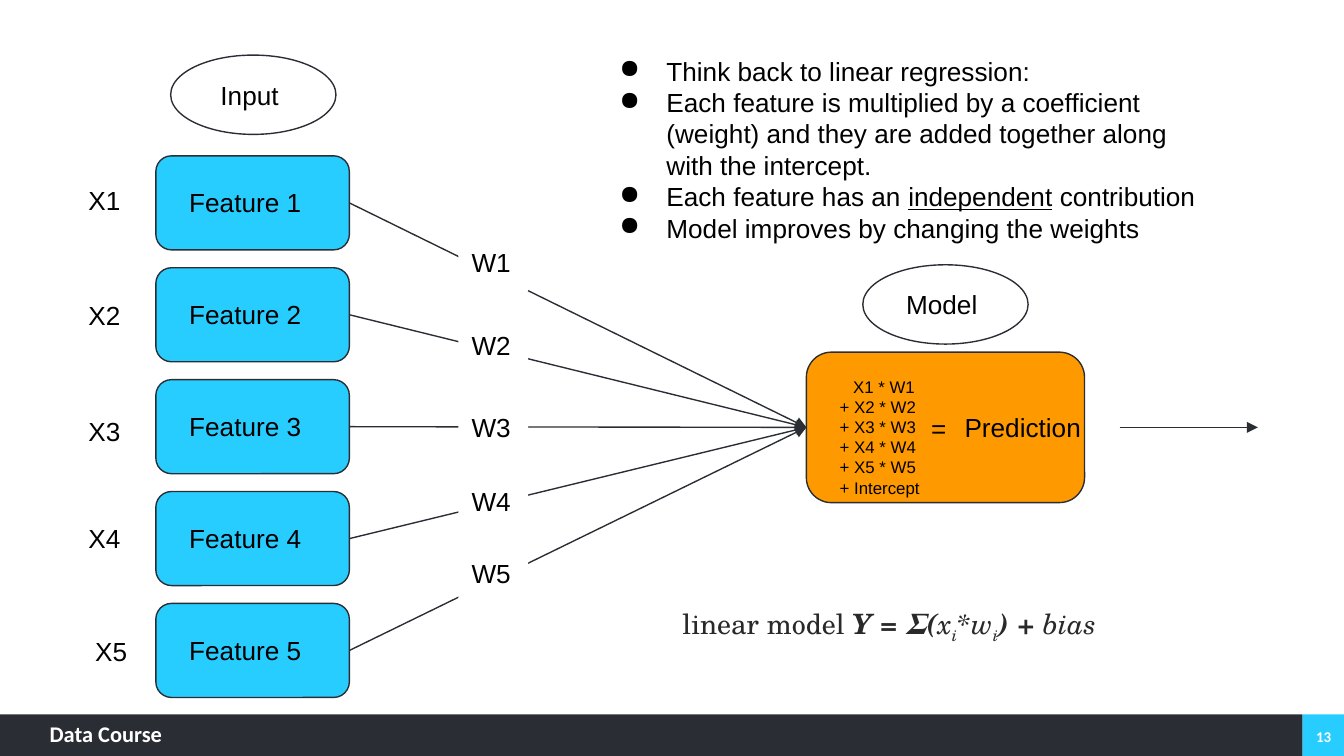
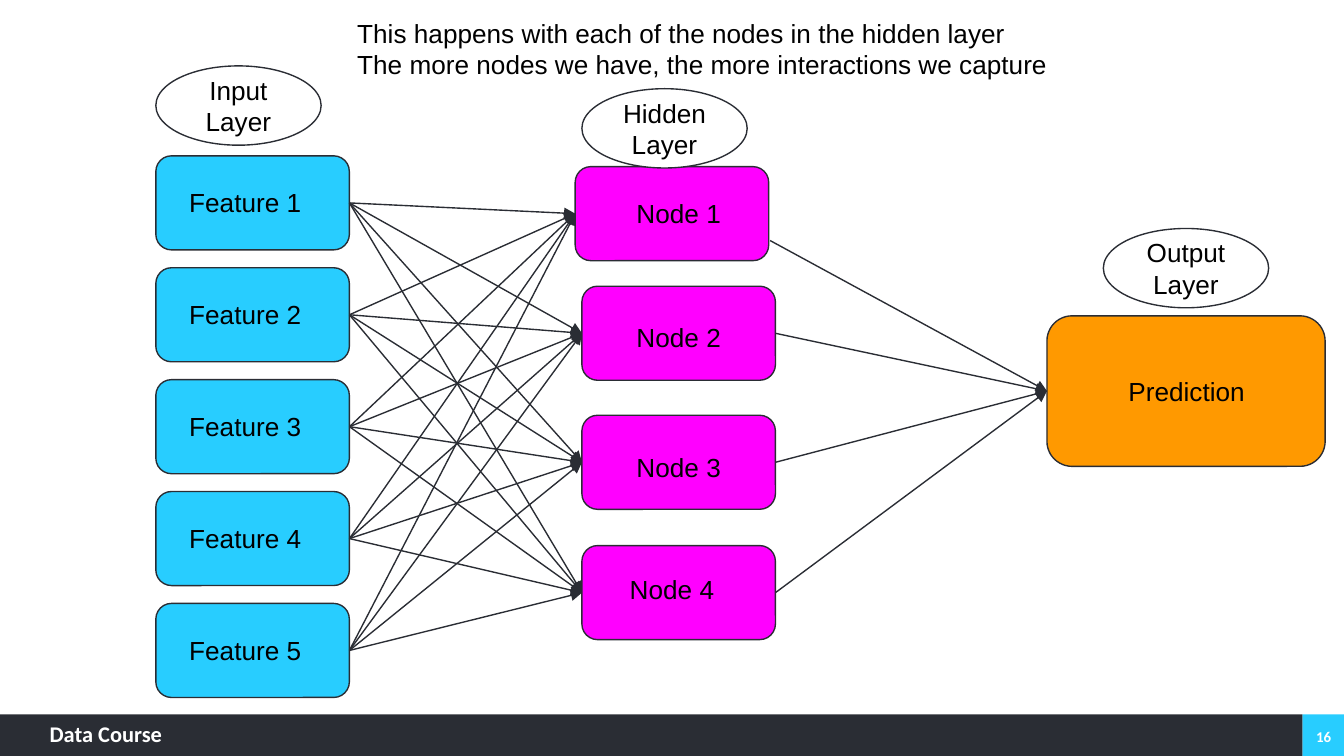
"""Builds two slides: a linear model with weights, and a network with a hidden layer."""
from lxml.etree import SubElement
from pptx import Presentation
from pptx.dml.color import RGBColor
from pptx.enum.shapes import MSO_CONNECTOR, MSO_SHAPE as SHAPE
from pptx.enum.text import MSO_ANCHOR as ANCHOR, PP_ALIGN as ALIGN
from pptx.oxml.ns import qn
from pptx.util import Inches, Pt

CYAN = RGBColor(0x28, 0xCD, 0xFF)
DARK = RGBColor(0x2A, 0x2D, 0x34)
ORANGE = RGBColor(0xFF, 0x99, 0x00)
MAGENTA = RGBColor(0xFF, 0x00, 0xFF)
WHITE = RGBColor(0xFF, 0xFF, 0xFF)
BLACK = RGBColor(0x00, 0x00, 0x00)
INK = RGBColor(0x29, 0x29, 0x29)

W, H = 10, 5.625
BAND_H = 0.31
BAND_Y = H - BAND_H
BOX_W, BOX_H = 1.44, 0.7
BIG_W, BIG_H = 2.07, 1.12
OVAL_W, OVAL_H = 1.23, 0.59
LABEL_W, LABEL_H = 1.14, 0.44
FEATURE_X, FEATURE_Y, FEATURE_STEP = 1.16, 1.16, 3.33 / 4


def put(slide, text, x, y, w, h, kind=None, fill=None, line=None, size=14, font="Arial",
        color=BLACK, bold=None, align=ALIGN.LEFT, anchor=ANCHOR.TOP, inset=(0.1, 0.1), bullet=None):
    """Add a shape, or a text box without kind; text is paragraphs of strings or (text, format) runs."""
    box = [Inches(v) for v in (x, y, w, h)]
    if kind is None:
        sp = slide.shapes.add_textbox(*box)
    else:
        sp = slide.shapes.add_shape(kind, *box)
        sp.shadow.inherit = False
        sp.fill.solid()
        sp.fill.fore_color.rgb = fill
        if line is None:
            sp.line.fill.background()
        else:
            sp.line.color.rgb = line
            sp.line.width = Pt(0.75)
    tf = sp.text_frame
    tf.word_wrap = True
    tf.vertical_anchor = anchor
    tf.margin_left = tf.margin_right = Inches(inset[0])
    tf.margin_top = tf.margin_bottom = Inches(inset[1])
    for i, runs in enumerate([text] if isinstance(text, str) else text):
        p = tf.add_paragraph() if i else tf.paragraphs[0]
        p.alignment = align
        if bullet:
            pPr = p._p.get_or_add_pPr()
            pPr.set("marL", str(Inches(0.5)))
            pPr.set("indent", str(Inches(-0.35)))
            SubElement(pPr, qn("a:buChar")).set("char", bullet)
        for words, fmt in [(runs, {})] if isinstance(runs, str) else runs:
            r = p.add_run()
            r.text = words
            r.font.size, r.font.name, r.font.color.rgb = Pt(size), font, color
            r.font.bold = fmt.get("bold", bold)
            r.font.italic = fmt.get("italic")
            r.font.underline = fmt.get("underline")
            if "baseline" in fmt:
                r.font._element.set("baseline", fmt["baseline"])
    return sp


def link(slide, start, end):
    """Draw an arrow; each end is a shape (right side to left side) or a point in inches."""
    cx = slide.shapes.add_connector(MSO_CONNECTOR.STRAIGHT, 0, 0, 0, 0)
    if isinstance(start, tuple):
        cx.begin_x, cx.begin_y = Inches(start[0]), Inches(start[1])
    else:
        cx.begin_connect(start, 3)
    if isinstance(end, tuple):
        cx.end_x, cx.end_y = Inches(end[0]), Inches(end[1])
    else:
        cx.end_connect(end, 1)
    cx.line.color.rgb = DARK
    cx.line.width = Pt(0.75)
    SubElement(cx.line._get_or_add_ln(), qn("a:tailEnd")).set("type", "triangle")
    SubElement(cx._element.spPr, qn("a:effectLst"))


prs = Presentation()
prs.slide_width, prs.slide_height = Inches(W), Inches(H)
box = dict(kind=SHAPE.ROUNDED_RECTANGLE, line=DARK)
oval = dict(kind=SHAPE.OVAL, fill=WHITE, line=DARK, align=ALIGN.CENTER, anchor=ANCHOR.MIDDLE)
footer = dict(font="Calibri", color=WHITE, bold=True)

slides, columns = [], []
for number in ("13", "16"):
    s = prs.slides.add_slide(prs.slide_layouts[6])
    put(s, [], W - BAND_H, BAND_Y, BAND_H, BAND_H, kind=SHAPE.RECTANGLE, fill=CYAN)
    put(s, [], 0, BAND_Y, W - BAND_H, BAND_H, kind=SHAPE.RECTANGLE, fill=DARK)
    put(s, "Data Course", 0.37, 5.36, 1.57, 0.23, size=12, inset=(0, 0), **footer)
    put(s, number, 9.7, 5.33, 0.3, 0.3, size=8, align=ALIGN.CENTER, anchor=ANCHOR.MIDDLE,
        inset=(0.07, 0.04), **footer)
    features = []
    for i in range(5):
        y = FEATURE_Y + i * FEATURE_STEP
        features.append(put(s, [], FEATURE_X, y, BOX_W, BOX_H, fill=CYAN, **box))
        put(s, f"Feature {i + 1}", FEATURE_X + 0.15, y + 0.13, LABEL_W, LABEL_H)
    slides.append(s)
    columns.append(features)

s, features = slides[0], columns[0]
model = put(s, [], 6, 2.62, BIG_W, BIG_H, fill=ORANGE, **box)
put(s, "Prediction", 6.89, 2.96, BOX_W, LABEL_H, align=ALIGN.CENTER)
put(s, ["Think back to linear regression:",
        "Each feature is multiplied by a coefficient (weight) and they are added together "
        "along with the intercept.",
        [("Each feature has an ", {}), ("independent", {"underline": True}), (" contribution", {})],
        "Model improves by changing the weights"], 4.36, 0.31, 4.65, 2.09, bullet="●")
for feature in features:
    link(s, feature, model)
put(s, "Input ", 1.27, 0.41, OVAL_W, OVAL_H, **oval)
put(s, "Model ", 6.42, 1.97, OVAL_W, OVAL_H, **oval)

terms = put(s, ["X1 * W1"] + [f"+ X{i} * W{i}" for i in range(2, 6)] + ["+ Intercept"],
            6.15, 2.7, 0.8, 1.11, size=9)
terms.text_frame.paragraphs[0]._p.get_or_add_pPr().set("marL", str(Inches(0.1)))
put(s, "=", 6.83, 2.97, 0.65, LABEL_H)

strong = {"bold": True, "italic": True}
slanted = {"italic": True}
lowered = {"italic": True, "baseline": "-25000"}
put(s, [[("linear model ", {}), ("Y = Σ(", strong), ("x", slanted), ("i", lowered),
         ("*w", slanted), ("i", lowered), (") + ", strong), ("bias", slanted)]],
    4.98, 4.41, 3.7, 0.45, size=15, font="TeX Gyre Schola", color=INK)

inputs = [(0.56, 1.27), (0.56, 2.13), (0.56, 2.99), (0.56, 3.79), (0.61, 4.63)]
weight_tops = [1.73, 2.35, 2.96, 3.51, 4.05]
for i, ((x, y), top) in enumerate(zip(inputs, weight_tops), 1):
    put(s, f"X{i}", x, y, 0.46, LABEL_H)
    put(s, f"W{i}", 3.41, top, 0.52, LABEL_H, kind=SHAPE.RECTANGLE, fill=WHITE)
link(s, (8.33, 3.18), (9.36, 3.18))

s, features = slides[1], columns[1]
output = put(s, [], 7.79, 2.35, BIG_W, BIG_H, fill=ORANGE, **box)
put(s, "Prediction", 8.11, 2.69, BOX_W, LABEL_H, align=ALIGN.CENTER)
put(s, ["This happens with each of the nodes in the hidden layer",
        "The more nodes we have, the more interactions we capture"], 2.56, 0.03, 5.44, 0.67)

nodes = [(4.28, 1.24, 4.48, 1.37), (4.33, 2.13, 4.48, 2.29),
         (4.33, 3.09, 4.48, 3.26), (4.33, 4.06, 4.43, 4.17)]
for i, (x, y, label_x, label_y) in enumerate(nodes, 1):
    node = put(s, [], x, y, BOX_W, BOX_H, fill=MAGENTA, **box)
    put(s, f"Node {i}", label_x, label_y, LABEL_W, LABEL_H, align=ALIGN.CENTER)
    for feature in features:
        link(s, feature, node)
    link(s, (5.73, 1.79) if i == 1 else node, output)

for text, x, y in [("Input Layer", 1.16, 0.49), ("Output Layer", 8.21, 1.7),
                   ("Hidden Layer", 4.33, 0.66)]:
    put(s, text, x, y, OVAL_W, OVAL_H, **oval)

prs.save("out.pptx")
